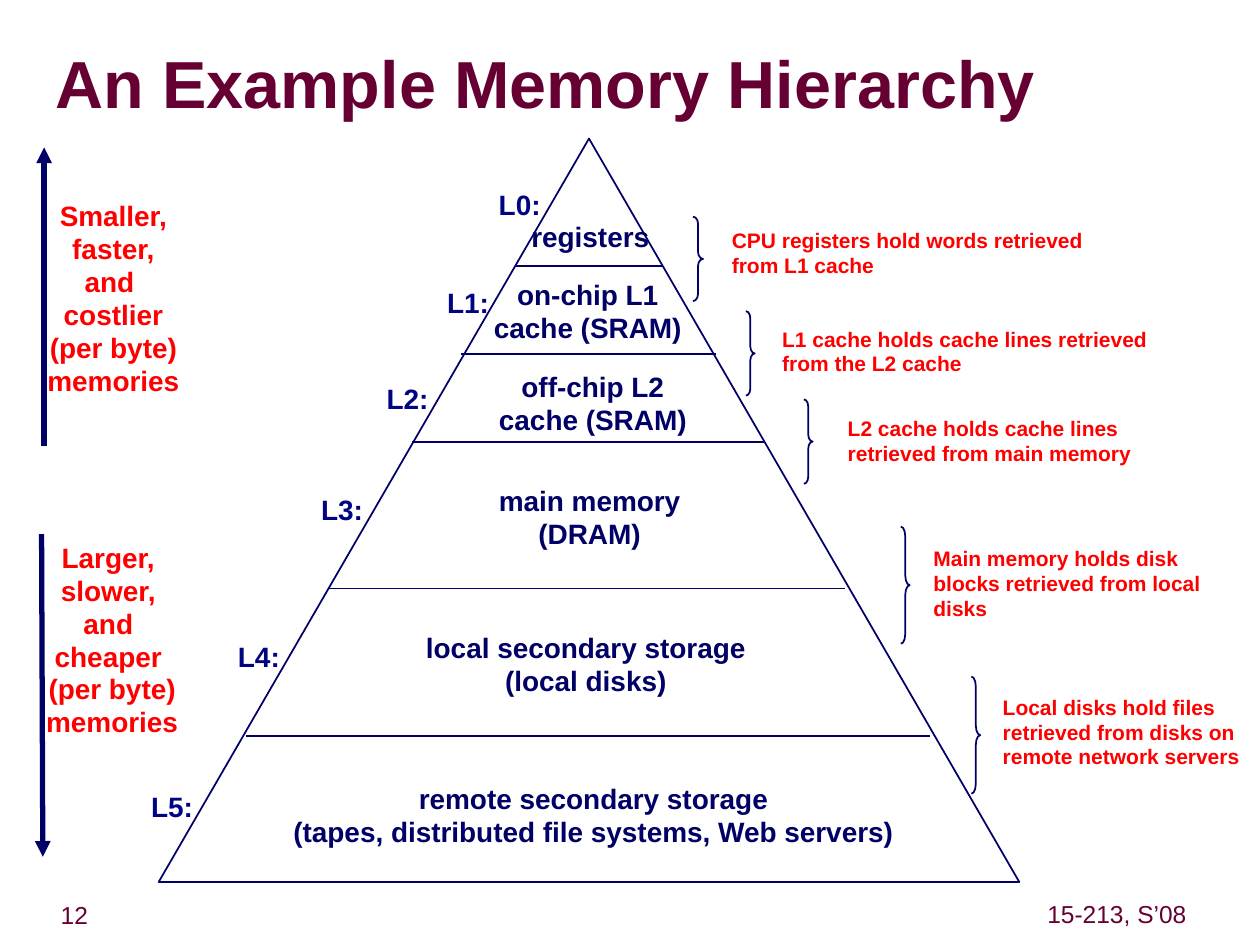
from lxml.etree import SubElement
from pptx import Presentation
from pptx.dml.color import RGBColor
from pptx.enum.shapes import MSO_CONNECTOR, MSO_SHAPE
from pptx.enum.text import MSO_ANCHOR, PP_ALIGN
from pptx.oxml.ns import qn
from pptx.util import Pt

PX = 9144  # 100 px to the inch
NAVY, BLUE, RED, WINE = "000066", "000482", "FF0000", "660033"

deck = Presentation()
deck.slide_width, deck.slide_height = 1000 * PX, 750 * PX
slide = deck.slides.add_slide(deck.slide_layouts[6])
shapes = slide.shapes


def write(text, box, color=NAVY, size=16, bold=True, align=PP_ALIGN.CENTER,
          wrap=False, inset=(10, 5), gap=0.98):
    """Add a text box; each line of text becomes a paragraph."""
    frame = shapes.add_textbox(*[n * PX for n in box]).text_frame
    frame.word_wrap = wrap
    frame.vertical_anchor = MSO_ANCHOR.MIDDLE
    frame.margin_left = frame.margin_right = inset[0] * PX
    frame.margin_top = frame.margin_bottom = inset[1] * PX
    frame.text = text
    for par in frame.paragraphs:
        par.alignment = align
        par.line_spacing = gap
        font = par.runs[0].font
        font.name, font.size, font.bold = "Arial", Pt(size), bold
        font.color.rgb = RGBColor.from_string(color)


def draw(x1, y1, x2, y2, width=1, arrow=False):
    """Add a straight line, with an arrowhead at its end if asked."""
    line = shapes.add_connector(
        MSO_CONNECTOR.STRAIGHT, x1 * PX, y1 * PX, x2 * PX, y2 * PX)
    line.line.color.rgb = RGBColor.from_string(NAVY)
    line.line.width = Pt(width)
    if arrow:
        SubElement(line.line._get_or_add_ln(), qn("a:tailEnd"), type="triangle")
    SubElement(line._element.spPr, qn("a:effectLst"))


# Title and footer
write("An Example Memory Hierarchy", (44, 27, 953, 86), WINE, 38,
      align=PP_ALIGN.LEFT, wrap=True, inset=(0, 0), gap=0.85)
for text, box in [("12", (7, 712, 104, 31)), ("15-213, S’08", (826, 711, 121, 31))]:
    write(text, box, WINE, 14, bold=False, inset=(5, 5), gap=0.88)

# Pyramid outline and the lines between its levels
outlines = [shapes.add_shape(MSO_SHAPE.ISOSCELES_TRIANGLE,
                             126 * PX, 110 * PX, 683 * PX, 590 * PX)]
for left, right, y in [(409, 526, 211), (366, 568, 281), (327, 606, 351),
                       (260, 671, 467), (195, 738, 584)]:
    draw(left, y, right, y)

# Level names: tag position, then text and its box
levels = [
    (386, 145, "registers", (403, 171, 131, 36)),
    (345, 223, "on-chip L1\ncache (SRAM)", (376, 217, 181, 62)),
    (297, 299, "off-chip L2\ncache (SRAM)", (380, 290, 181, 62)),
    (245, 387, "main memory\n(DRAM)", (380, 380, 176, 62)),
    (179, 504, "local secondary storage\n(local disks)", (322, 497, 286, 62)),
    (110, 623, "remote secondary storage\n"
     "(tapes, distributed file systems, Web servers)", (217, 617, 508, 62)),
]
for i, (x, y, text, box) in enumerate(levels):
    write(f"L{i}:", (x, y, 53, 36), BLUE)
    write(text, box)

# Notes on the right: brace box, then text and its box
notes = [
    ((550, 172, 8, 67), "CPU registers hold words retrieved from L1 cache",
     (571, 177, 319, 49)),
    ((592, 247, 7, 67), "L1 cache holds cache lines retrieved from the L2 cache",
     (611, 255, 310, 49)),
    ((638, 317, 7, 67), "L2 cache holds cache lines retrieved from main memory",
     (663, 326, 287, 49)),
    ((715, 418, 7, 93), "Main memory holds disk\nblocks retrieved from local\ndisks",
     (731, 429, 302, 69)),
    ((771, 537, 7, 93),
     "Local disks hold files retrieved from disks on remote network servers",
     (786, 547, 225, 69)),
]
for (x, y, w, h), text, box in notes:
    brace = shapes.add_shape(MSO_SHAPE.RIGHT_BRACE, x * PX, y * PX, w * PX, h * PX)
    brace.adjustments[0] = h / 12 / w  # curves take a twelfth of the height
    outlines.append(brace)
    write(text, box, RED, 12, align=PP_ALIGN.LEFT, wrap=True)

for shape in outlines:
    shape.shadow.inherit = False
    shape.fill.background()
    shape.line.color.rgb = RGBColor.from_string(NAVY)
    shape.line.width = Pt(1)

# Trend arrows on the left
draw(35, 354, 35, 117, width=3, arrow=True)
write("Smaller,\nfaster,\nand \ncostlier\n(per byte)\nmemories",
      (18, 154, 144, 167), RED)
draw(33, 424, 34, 680, width=3, arrow=True)
write("Larger, \nslower, \nand \ncheaper \n(per byte)\nmemories",
      (17, 425, 144, 167), RED)

deck.save("out.pptx")
